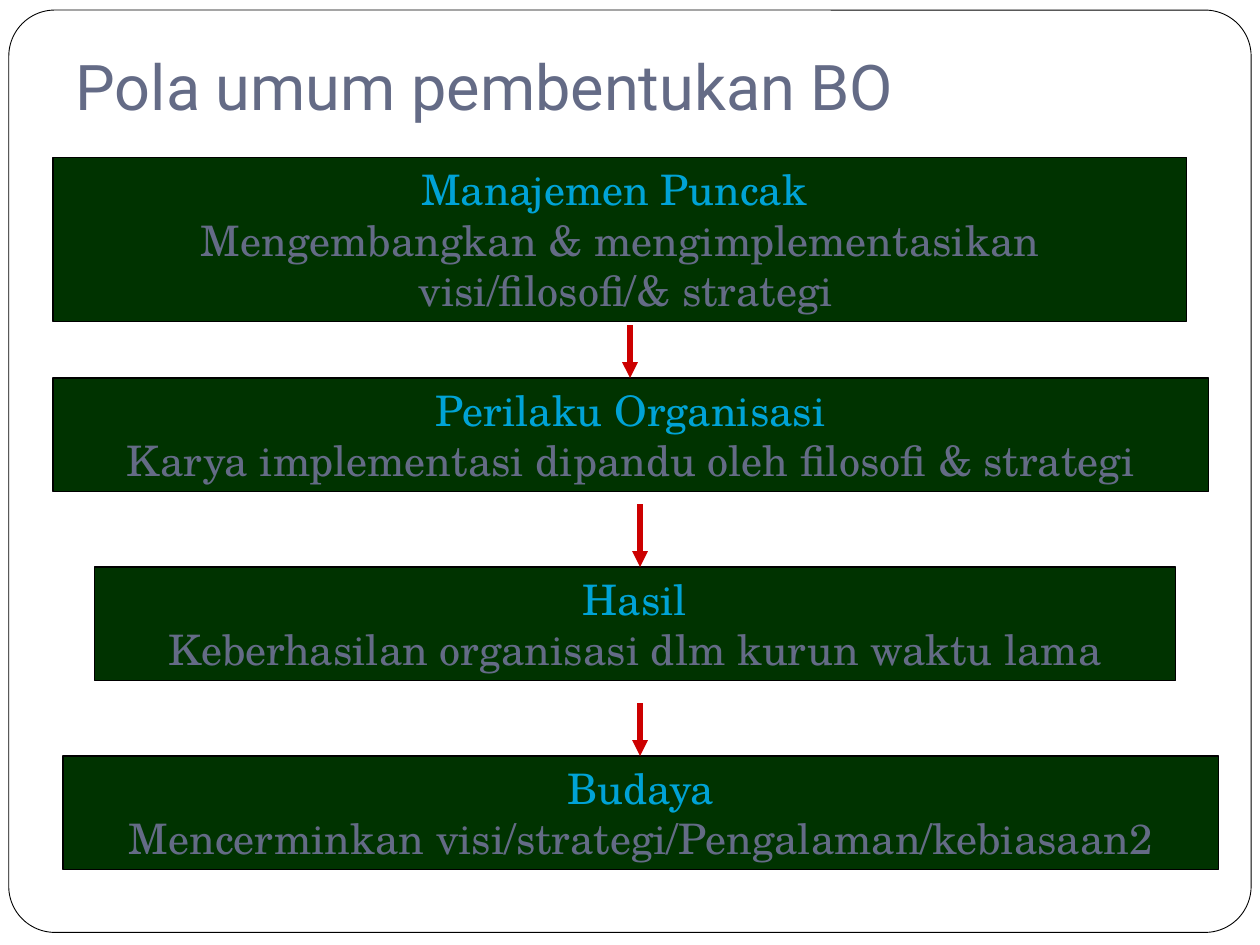
from dataclasses import dataclass

from lxml import etree
from pptx import Presentation
from pptx.dml.color import RGBColor
from pptx.enum.shapes import MSO_CONNECTOR, MSO_SHAPE
from pptx.enum.text import MSO_ANCHOR, PP_ALIGN
from pptx.oxml.ns import qn
from pptx.util import Inches, Pt

RECTANGLE = MSO_SHAPE.RECTANGLE
ROUNDED_RECTANGLE = MSO_SHAPE.ROUNDED_RECTANGLE
STRAIGHT = MSO_CONNECTOR.STRAIGHT
TOP, BOTTOM = MSO_ANCHOR.TOP, MSO_ANCHOR.BOTTOM
LEFT, CENTER = PP_ALIGN.LEFT, PP_ALIGN.CENTER
TITLE_ONLY_LAYOUT = 5


@dataclass(frozen=True)
class Theme:
    paper: str = "FFFFFF"
    outline: str = "000000"
    box: str = "003300"
    heading: str = "00A3D6"
    text: str = "646B86"
    arrow: str = "CC0000"
    title_font: str = "Roboto"
    body_font: str = "TeX Gyre Schola"
    title_size: int = 36
    body_size: int = 24


def set_attributes(target, values):
    for name, value in values.items():
        setattr(target, name, value)


class SlideBuilder:
    def __init__(self, slide, theme):
        self.slide = slide
        self.theme = theme

    def fill_paragraph(self, paragraph, text, font, size, color, alignment):
        paragraph.alignment = alignment
        run = paragraph.add_run()
        run.text = text
        set_attributes(run.font, {"name": font, "size": Pt(size)})
        run.font.color.rgb = RGBColor.from_string(color)

    def format_frame(self, text_frame, anchor, bottom_margin):
        set_attributes(text_frame, {
            "word_wrap": True,
            "vertical_anchor": anchor,
            "margin_left": Inches(0.1),
            "margin_right": Inches(0.1),
            "margin_top": Inches(0.05),
            "margin_bottom": Inches(bottom_margin),
        })

    def add_panel(self, kind, left, top, width, height, fill, line_width):
        shape = self.slide.shapes.add_shape(
            kind, Inches(left), Inches(top), Inches(width), Inches(height))
        shape.shadow.inherit = False
        shape.fill.solid()
        shape.fill.fore_color.rgb = RGBColor.from_string(fill)
        shape.line.color.rgb = RGBColor.from_string(self.theme.outline)
        shape.line.width = Pt(line_width)
        return shape

    def add_border(self):
        """Draw the rounded page border behind the title."""
        border = self.add_panel(ROUNDED_RECTANGLE, 0.07, 0.08, 9.86, 7.32,
                                self.theme.paper, 0.5)
        border.adjustments[0] = 0.05
        self.slide.shapes.title._element.addprevious(border._element)

    def add_title(self, text):
        title = self.slide.shapes.title
        set_attributes(title, {"left": Inches(0.5), "top": Inches(0.3),
                               "width": Inches(9), "height": Inches(0.78)})
        self.format_frame(title.text_frame, BOTTOM, 0.1)
        theme = self.theme
        self.fill_paragraph(title.text_frame.paragraphs[0], text, theme.title_font,
                            theme.title_size, theme.text, LEFT)

    def add_stage(self, left, top, width, height, lines):
        """Add a box whose first line is its heading."""
        theme = self.theme
        box = self.add_panel(RECTANGLE, left, top, width, height, theme.box, 0.75)
        text_frame = box.text_frame
        self.format_frame(text_frame, TOP, 0.05)
        for index, line in enumerate(lines):
            paragraph = text_frame.add_paragraph() if index else text_frame.paragraphs[0]
            color = theme.text if index else theme.heading
            self.fill_paragraph(paragraph, line, theme.body_font, theme.body_size,
                                color, CENTER)

    def add_down_arrow(self, x, top, bottom):
        arrow = self.slide.shapes.add_connector(
            STRAIGHT, Inches(x), Inches(top), Inches(x), Inches(bottom))
        arrow.line.color.rgb = RGBColor.from_string(self.theme.arrow)
        arrow.line.width = Pt(3)
        properties = arrow._element.spPr
        etree.SubElement(properties.find(qn("a:ln")), qn("a:tailEnd"), type="triangle")
        etree.SubElement(properties, qn("a:effectLst"))


STAGES = [
    (0.42, 1.25, 9, 1.3, ["Manajemen Puncak ",
                          "Mengembangkan & mengimplementasikan",
                          " visi/filosofi/& strategi"]),
    (0.42, 3, 9.17, 0.9, ["Perilaku Organisasi",
                          "Karya implementasi dipandu oleh filosofi & strategi"]),
    (0.75, 4.5, 8.58, 0.9, ["Hasil",
                            "Keberhasilan organisasi dlm kurun waktu lama"]),
    (0.5, 6, 9.17, 0.9, ["Budaya",
                         "Mencerminkan visi/strategi/Pengalaman/kebiasaan2"]),
]
ARROWS = [(5, 2.58, 3), (5.08, 4, 4.5), (5.08, 5.58, 6)]


def main():
    presentation = Presentation()
    set_attributes(presentation, {"slide_width": Inches(10), "slide_height": Inches(7.5)})
    layout = presentation.slide_layouts[TITLE_ONLY_LAYOUT]
    builder = SlideBuilder(presentation.slides.add_slide(layout), Theme())
    builder.add_border()
    builder.add_title("Pola umum pembentukan BO")
    for stage in STAGES:
        builder.add_stage(*stage)
    for arrow in ARROWS:
        builder.add_down_arrow(*arrow)
    presentation.save("out.pptx")


if __name__ == "__main__":
    main()
